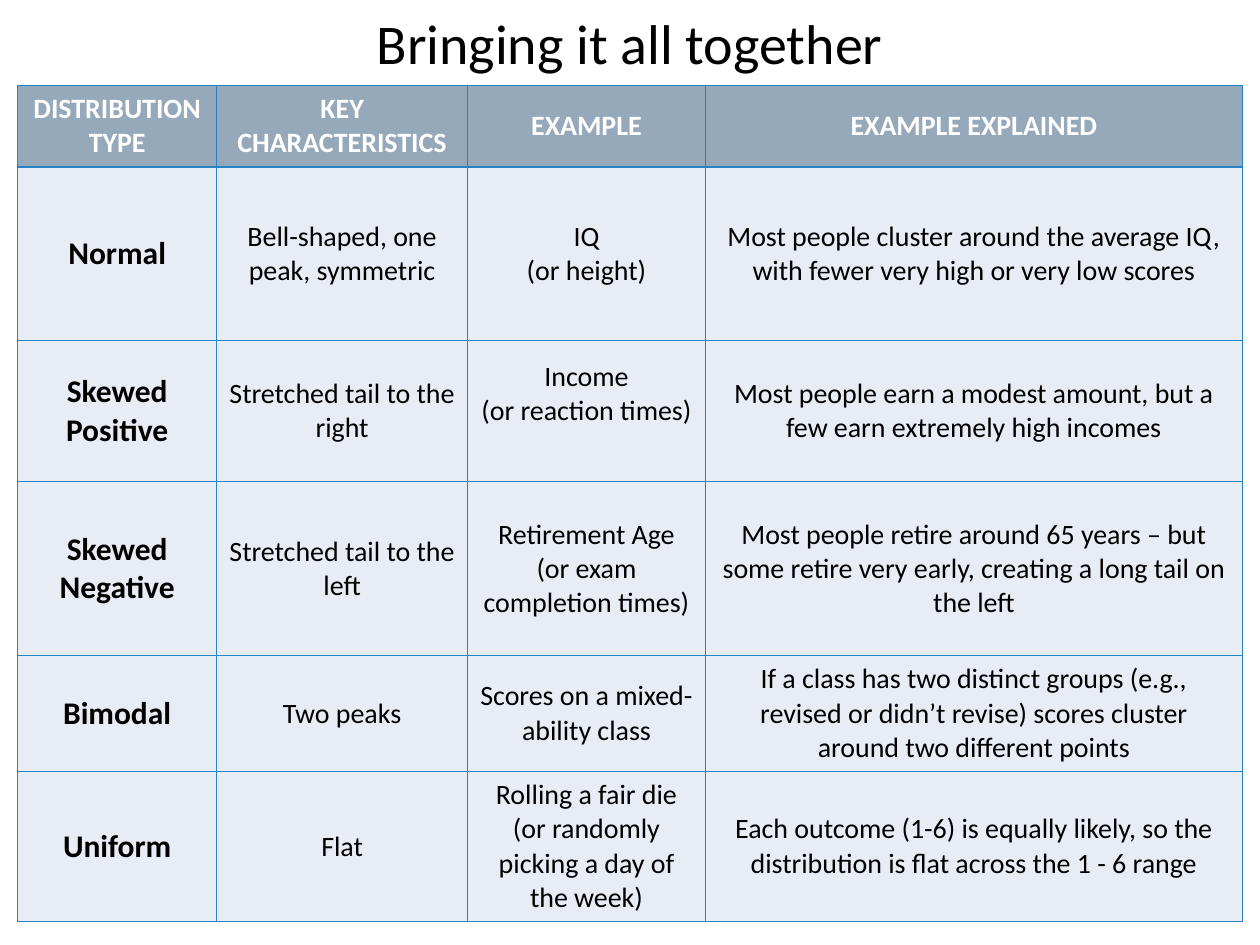
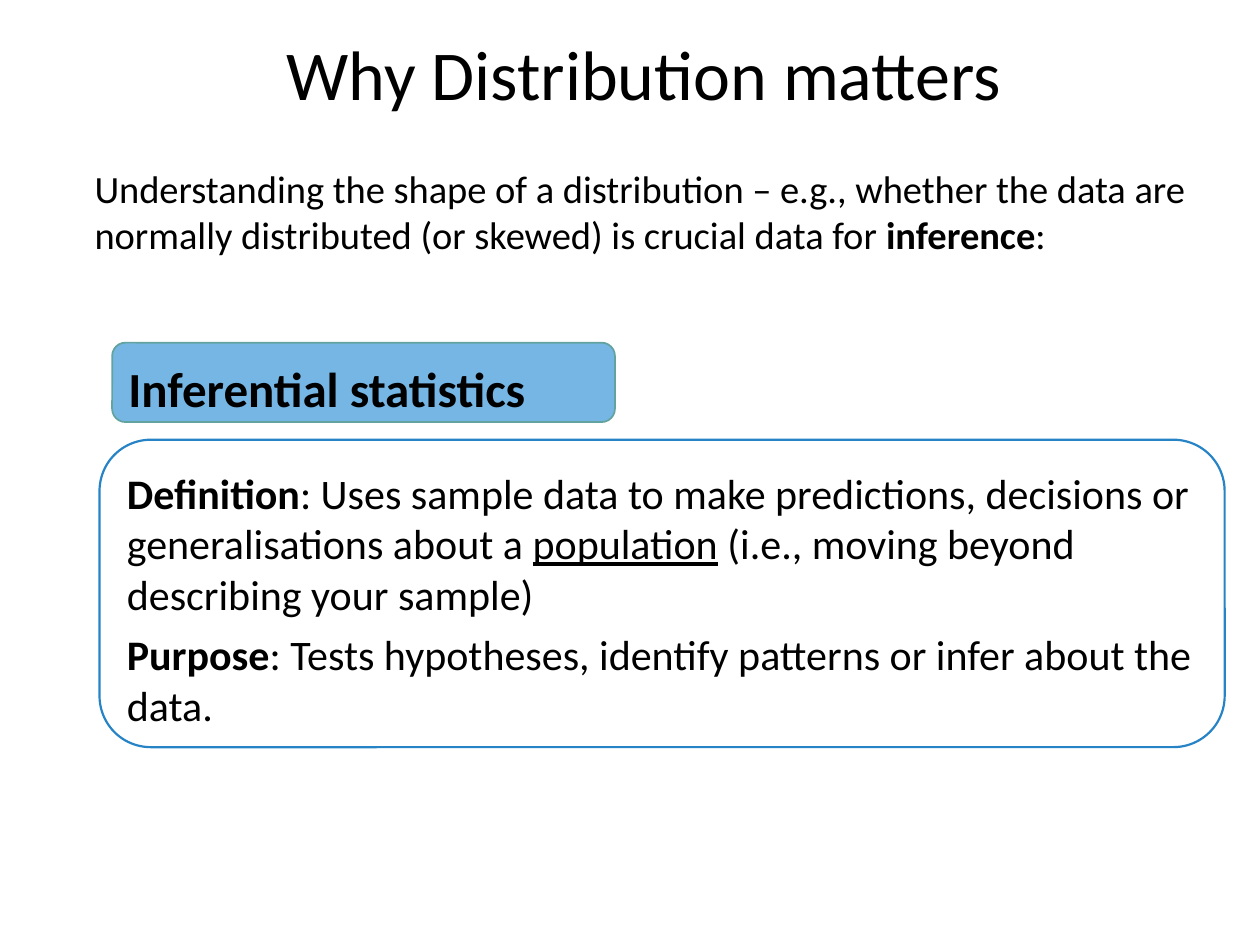
from lxml.etree import SubElement
from pptx import Presentation
from pptx.dml.color import RGBColor
from pptx.enum.shapes import MSO_SHAPE
from pptx.enum.text import MSO_ANCHOR, PP_ALIGN
from pptx.oxml.ns import qn
from pptx.util import Inches, Pt

# Shared look
FONT = "Calibri"
BLACK, WHITE = "000000", "FFFFFF"
BLUE, SKY, TEAL = "2683C6", "75B6E5", "62A39F"
HEADER_FILL, ROW_FILL = "96A9BA", "E8EDF5"

# Distribution table
COLUMN_WIDTHS = [1.58, 1.99, 1.89, 4.26]
ROW_HEIGHTS = [0.64, 1.38, 1.12, 1.38, 0.92, 1.19]
DISTRIBUTIONS = [
    ["DISTRIBUTION TYPE", "KEY\nCHARACTERISTICS", "EXAMPLE", "EXAMPLE EXPLAINED"],
    ["Normal", "Bell-shaped, one peak, symmetric", "IQ\n(or height)",
     "Most people cluster around the average IQ, with fewer very high or very low scores"],
    ["Skewed Positive", "Stretched tail to the right", "Income\n(or reaction times)",
     "Most people earn a modest amount, but a few earn extremely high incomes"],
    ["Skewed Negative", "Stretched tail to the left",
     "Retirement Age\n(or exam completion times)",
     "Most people retire around 65 years – but some retire very early, "
     "creating a long tail on the left"],
    ["Bimodal", "Two peaks", "Scores on a mixed-ability class",
     "If a class has two distinct groups (e.g., revised or didn’t revise) "
     "scores cluster around two different points"],
    ["Uniform", "Flat", "Rolling a fair die\n(or randomly picking a day of the week)",
     "Each outcome (1-6) is equally likely, so the distribution is flat "
     "across the 1 - 6 range"],
]


def rgb(value):
    return RGBColor.from_string(value)


def style_font(font, size, color=BLACK, bold=False):
    font.name = FONT
    font.size = Pt(size)
    font.bold = bold
    font.color.rgb = rgb(color)


def place(box, left, top, width, height):
    box.left, box.top = Inches(left), Inches(top)
    box.width, box.height = Inches(width), Inches(height)


def set_title(page, title, size, *position):
    box = page.shapes.title
    place(box, *position)
    frame = box.text_frame
    frame.text = title
    frame.vertical_anchor = MSO_ANCHOR.TOP
    para = frame.paragraphs[0]
    para.alignment = PP_ALIGN.CENTER
    style_font(para.runs[0].font, size)


def write_paragraphs(frame, paragraphs, size):
    """Each paragraph is a list of (text, style); style is "", "bold" or "underline"."""
    for index, spans in enumerate(paragraphs):
        para = frame.add_paragraph() if index else frame.paragraphs[0]
        para.alignment = PP_ALIGN.LEFT
        para.space_before = Pt(6 if index else 0)
        for text, style in spans:
            span = para.add_run()
            span.text = text
            style_font(span.font, size, bold=style == "bold")
            if style == "underline":
                span.font.underline = True


def add_rounded_box(page, position, fill, line, line_width, paragraphs, size):
    box = page.shapes.add_shape(MSO_SHAPE.ROUNDED_RECTANGLE, *map(Inches, position))
    box.shadow.inherit = False
    box.fill.solid()
    box.fill.fore_color.rgb = rgb(fill)
    box.line.color.rgb = rgb(line)
    box.line.width = Pt(line_width)
    frame = box.text_frame
    frame.word_wrap = True
    frame.vertical_anchor = MSO_ANCHOR.MIDDLE
    frame.margin_top = Inches(0.13)
    write_paragraphs(frame, paragraphs, size)


def outline_cell(cell):
    properties = cell._tc.get_or_add_tcPr()
    for side in ("a:lnL", "a:lnR", "a:lnT", "a:lnB"):
        line = SubElement(properties, qn(side), w=str(Pt(1)))
        SubElement(SubElement(line, qn("a:solidFill")), qn("a:srgbClr"), val=BLUE)


def fill_cell(cell, text, size, fill, color, bold):
    outline_cell(cell)
    cell.fill.solid()
    cell.fill.fore_color.rgb = rgb(fill)
    cell.vertical_anchor = MSO_ANCHOR.MIDDLE
    cell.text_frame.text = text
    for para in cell.text_frame.paragraphs:
        para.alignment = PP_ALIGN.CENTER
        style_font(para.runs[0].font, size, color, bold)


def add_distribution_table(page, left, top):
    table = page.shapes.add_table(
        len(ROW_HEIGHTS), len(COLUMN_WIDTHS), Inches(left), Inches(top),
        Inches(sum(COLUMN_WIDTHS)), Inches(sum(ROW_HEIGHTS))).table
    table.horz_banding = False
    for column, width in zip(table.columns, COLUMN_WIDTHS):
        column.width = Inches(width)
    for row, height in zip(table.rows, ROW_HEIGHTS):
        row.height = Inches(height)
    for row, texts in enumerate(DISTRIBUTIONS):
        header = row == 0
        for column, text in enumerate(texts):
            name = column == 0 and not header
            fill_cell(table.cell(row, column), text, 18 if name else 16,
                      HEADER_FILL if header else ROW_FILL,
                      WHITE if header else BLACK, header or name)
    # The income example sits above the middle of its cell
    table.cell(2, 2).margin_bottom = Inches(0.32)


def build_summary(deck):
    page = deck.slides.add_slide(deck.slide_layouts[5])
    set_title(page, "Bringing it all together", 32, 1.37, 0.02, 7.26, 1.57)
    add_distribution_table(page, 0.14, 0.68)


def build_inference(deck):
    page = deck.slides.add_slide(deck.slide_layouts[1])
    set_title(page, "Why Distribution matters", 40, 0.5, 0.19, 9.22, 1.57)

    # Introduction, without a bullet
    body = page.placeholders[1]
    place(body, 0.65, 1.26, 9.22, 0.84)
    properties = body.text_frame.paragraphs[0]._p.get_or_add_pPr()
    properties.set("marL", "0")
    properties.set("indent", "0")
    SubElement(properties, qn("a:buNone"))
    write_paragraphs(body.text_frame, [[
        ("Understanding the shape of a distribution – e.g., whether the data are "
         "normally distributed (or skewed) is crucial data for ", ""),
        ("inference", "bold"), (":", "")]], 22)

    # Heading and definition
    add_rounded_box(page, (0.89, 2.72, 3.99, 0.63), SKY, TEAL, 1,
                    [[("Inferential statistics", "bold")]], 28)
    add_rounded_box(page, (0.79, 3.49, 8.93, 2.44), WHITE, BLUE, 1.25, [
        [("Definition", "bold"),
         (": Uses sample data to make predictions, decisions or generalisations about a ", ""),
         ("population", "underline"),
         (" (i.e., moving beyond describing your sample)", "")],
        [("Purpose", "bold"),
         (": Tests hypotheses, identify patterns or infer about the data.", "")]], 24)


def main():
    deck = Presentation()
    deck.slide_width, deck.slide_height = Inches(10), Inches(7.5)
    build_summary(deck)
    build_inference(deck)
    deck.save("out.pptx")


if __name__ == "__main__":
    main()
